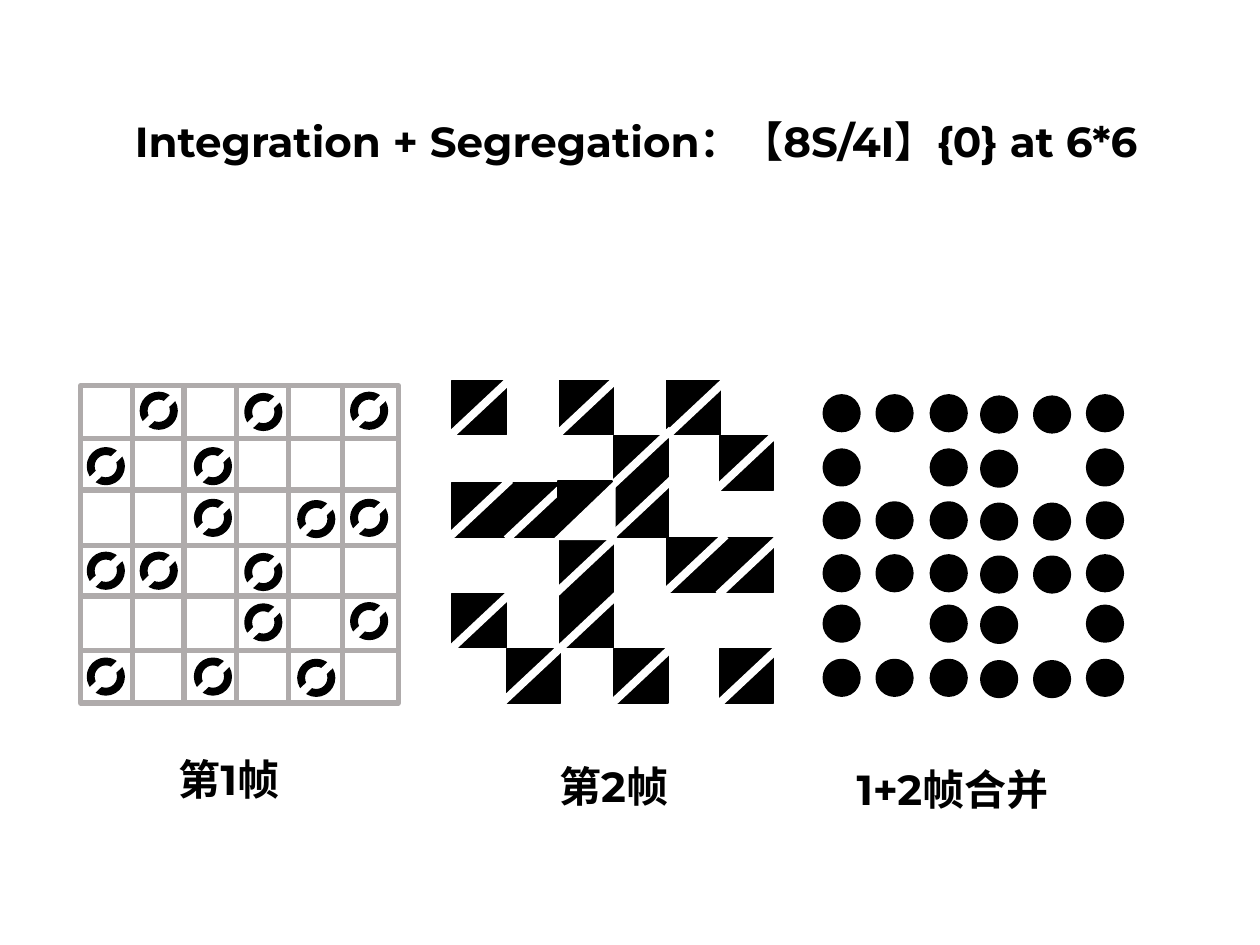
import pptx
import pptx.dml.color
import pptx.enum.shapes
import pptx.enum.text
import pptx.oxml
import pptx.oxml.ns
import pptx.util

Inches = pptx.util.Inches
SHAPE = pptx.enum.shapes.MSO_SHAPE

COLORS = {"ink": "000000", "paper": "FFFFFF", "grid": "AFABAB"}
FONT = {"name": "Montserrat", "size": pptx.util.Pt(24), "bold": True}
FRAME = {
    "word_wrap": True,
    "auto_size": pptx.enum.text.MSO_AUTO_SIZE.SHAPE_TO_FIT_TEXT,
    "vertical_anchor": pptx.enum.text.MSO_ANCHOR.TOP,
}

# Frame 1: lattice lines and ring positions
LATTICE_X = [1.05, 1.46, 1.88, 2.29, 2.72]
LATTICE_Y = [3.48, 3.89, 4.33, 4.73, 5.16]
RING_X = [0.72, 1.14, 1.57, 1.97, 2.39, 2.81]
RING_Y = [3.14, 3.58, 3.99, 4.41, 4.81, 5.25]
RINGS = [".x.x.x", "x.x...", "..x.xx", "xx.x..", "...x.x", "x.x.x."]

# Frame 2: squares, and the left top corner of each slash
SQUARE_X = [3.59, 4.02, 4.44, 4.87, 5.29, 5.71]
SQUARE_Y = [3.02, 3.46, 3.83, 4.27, 4.71, 5.15]
SQUARES = ["x.x.x.", "...x.x", "xx.x..", "..x.xx", "x.x...", ".x.x.x"]
SLASHES = [
    (3.57, 3.01), (4.4, 3.02), (5.29, 3.01), (4.85, 3.41),
    (5.68, 3.44), (3.57, 3.81), (4.02, 3.83), (4.86, 3.8),
    (4.41, 4.26), (5.28, 4.25), (5.7, 4.27), (3.58, 4.7),
    (4.44, 4.7), (3.97, 5.14), (4.85, 5.14), (5.7, 5.14),
]

# Merged frame: the ring positions moved right
DOT_X = [6.56, 6.98, 7.41, 7.81, 8.23, 8.65]
DOT_Y = [3.16, 3.59, 4.01, 4.43, 4.83, 5.26]
DOTS = ["xxxxxx", "x.xx.x", "xxxxxx", "xxxxxx", "x.xx.x", "xxxxxx"]

CAPTIONS = [
    ("第1帧", 1.32, 5.93, 1.2),
    ("第2帧", 4.34, 5.99, 1.2),
    ("1+2帧合并", 6.7, 6.01, 2.23),
]


def rgb(name):
    return pptx.dml.color.RGBColor.from_string(COLORS[name])


def cells(pattern, xs, ys, drop=0):
    """Yield the marked positions; columns 4 and 5 sit lower by drop."""
    for row, y in zip(pattern, ys):
        for col, (mark, x) in enumerate(zip(row, xs)):
            if mark == "x":
                yield x, y + (drop if col in (3, 4) else 0)


def set_line(sp, color, width):
    sp.line.color.rgb = rgb(color)
    sp.line.width = pptx.util.Pt(width)


def add_shape(shapes, kind, box, fill, line, width):
    sp = shapes.add_shape(kind, *map(Inches, box))
    sp.shadow.inherit = False
    if fill:
        sp.fill.solid()
        sp.fill.fore_color.rgb = rgb(fill)
    else:
        sp.fill.background()
    set_line(sp, line, width)
    return sp


def add_line(shapes, ends, color, width):
    straight = pptx.enum.shapes.MSO_CONNECTOR.STRAIGHT
    sp = shapes.add_connector(straight, *map(Inches, ends))
    set_line(sp, color, width)
    sp._element.spPr.append(pptx.oxml.parse_xml(
        "<a:effectLst %s/>" % pptx.oxml.ns.nsdecls("a")))


def add_ring(shapes, x, y):
    group = shapes.add_group_shape().shapes
    add_shape(group, SHAPE.OVAL, (x, y, 0.24, 0.24), None, "ink", 4.5)
    add_line(group, (x + 0.25, y, x, y + 0.24), "paper", 4.5)


def write_text(sp, text, x, y, w):
    sp.left, sp.top, sp.width, sp.height = map(Inches, (x, y, w, 0.5))
    tf = sp.text_frame
    for key, value in FRAME.items():
        setattr(tf, key, value)
    p = tf.paragraphs[0]
    p.alignment = pptx.enum.text.PP_ALIGN.LEFT
    r = p.add_run()
    r.text = text
    for key, value in FONT.items():
        setattr(r.font, key, value)
    r.font.color.rgb = rgb("ink")


def draw_first_frame(shapes):
    add_shape(shapes, SHAPE.RECTANGLE, (0.64, 3.06, 2.52, 2.52),
              "paper", "grid", 3)
    for x in LATTICE_X:
        add_line(shapes, (x, 3.06, x, 5.58), "grid", 3)
    for y in LATTICE_Y:
        add_line(shapes, (3.15, y, 0.64, y), "grid", 3)
    for x, y in cells(RINGS, RING_X, RING_Y, drop=0.01):
        add_ring(shapes, x, y)


def draw_second_frame(shapes):
    group = shapes.add_group_shape().shapes
    for x, y in cells(SQUARES, SQUARE_X, SQUARE_Y):
        add_shape(group, SHAPE.RECTANGLE, (x, y, 0.43, 0.43),
                  "ink", "ink", 1)
    for x, y in SLASHES:
        add_line(shapes, (x + 0.48, y, x, y + 0.45), "paper", 4.5)
    # Half-covered square
    half = shapes.add_group_shape().shapes
    add_shape(half, SHAPE.RECTANGLE, (4.43, 3.82, 0.43, 0.43),
              "ink", "ink", 1)
    cover = add_shape(half, SHAPE.ISOSCELES_TRIANGLE,
                      (4.4, 3.82, 0.48, 0.46), "paper", "paper", 1)
    cover.adjustments[0] = 1


def draw_merged_frame(shapes):
    for x, y in cells(DOTS, DOT_X, DOT_Y, drop=0.01):
        add_shape(shapes, SHAPE.OVAL, (x, y, 0.24, 0.24), "ink", "ink", 4.5)


def main():
    prs = pptx.Presentation()
    prs.slide_width, prs.slide_height = Inches(10), Inches(7.5)
    slide = prs.slides.add_slide(prs.slide_layouts[5])
    shapes = slide.shapes

    # Title and captions
    write_text(shapes.title, "Integration + Segregation：【8S/4I】{0} at 6*6",
               0.97, 0.87, 8.67)
    for text, x, y, w in CAPTIONS:
        write_text(shapes.add_textbox(0, 0, 0, 0), text, x, y, w)

    # The three frames
    draw_first_frame(shapes)
    draw_second_frame(shapes)
    draw_merged_frame(shapes)
    prs.save("out.pptx")


if __name__ == "__main__":
    main()
